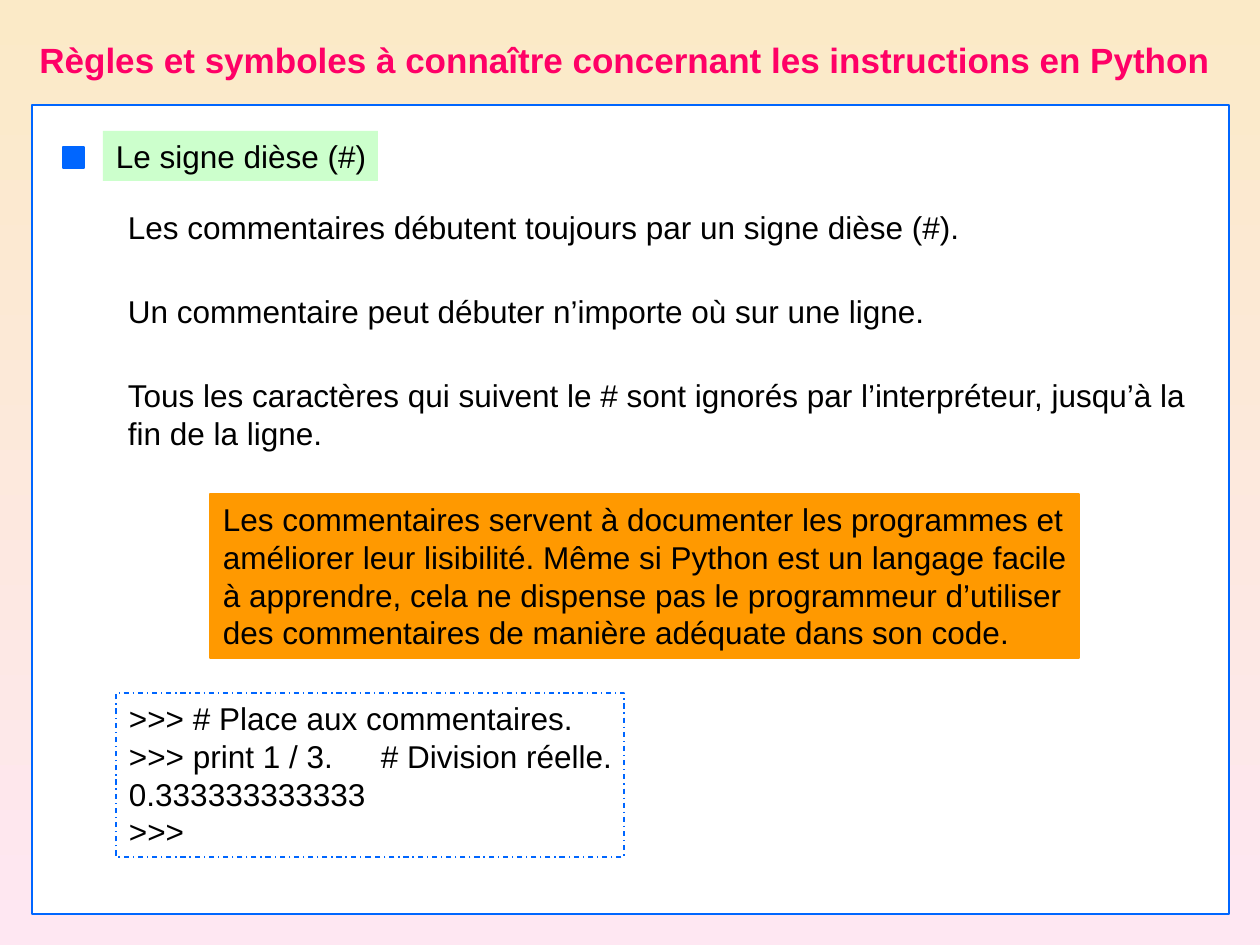
from dataclasses import dataclass
from typing import Optional

from lxml.etree import SubElement
from pptx import Presentation
from pptx.dml.color import RGBColor
from pptx.enum.dml import MSO_LINE
from pptx.enum.shapes import MSO_SHAPE
from pptx.enum.text import MSO_ANCHOR, MSO_AUTO_SIZE, PP_ALIGN
from pptx.oxml.ns import qn
from pptx.util import Emu, Pt

PIXELS_PER_INCH = 126
MARGIN_X, MARGIN_Y = 13, 6


@dataclass(frozen=True)
class Theme:
    font: str = "Arial"
    title_size: int = 20
    body_size: int = 18
    line_width: float = 0.75
    title: str = "FF0066"
    text: str = "000000"
    blue: str = "0066FF"
    white: str = "FFFFFF"
    green: str = "CCFFCC"
    orange: str = "FF9900"
    background_top: str = "FBEAC7"
    background_bottom: str = "FEE7F2"


@dataclass(frozen=True)
class Box:
    left: int
    top: int
    width: int
    height: int
    text: str = ""
    fill: Optional[str] = None
    line: Optional[str] = None
    dash: Optional[MSO_LINE] = None
    tab: Optional[int] = None


THEME = Theme()


def px(value: int) -> Emu:
    return Emu(round(value * 914400 / PIXELS_PER_INCH))


def color(value: str) -> RGBColor:
    return RGBColor.from_string(value)


def set_frame(text_frame, anchor: MSO_ANCHOR, margin_right: int) -> None:
    text_frame.word_wrap = True
    text_frame.auto_size = MSO_AUTO_SIZE.NONE
    text_frame.vertical_anchor = anchor
    text_frame.margin_left, text_frame.margin_right = px(MARGIN_X), px(margin_right)
    text_frame.margin_top = text_frame.margin_bottom = px(MARGIN_Y)


def place(shape, left: int, top: int, width: int, height: int) -> None:
    shape.left, shape.top = px(left), px(top)
    shape.width, shape.height = px(width), px(height)


def add_tab(paragraph, position: int) -> None:
    properties = paragraph._p.get_or_add_pPr()
    tab_list = SubElement(properties, qn("a:tabLst"))
    SubElement(tab_list, qn("a:tab"), pos=str(px(position)), algn="l")


def write_text(text_frame, box: Box) -> None:
    text_frame.text = box.text
    # The boxes hug their text, so the right margin is left free as slack
    set_frame(text_frame, MSO_ANCHOR.TOP, margin_right=0)
    for paragraph in text_frame.paragraphs:
        if box.tab:
            add_tab(paragraph, box.tab)
        paragraph.alignment = PP_ALIGN.LEFT
        for run in paragraph.runs:
            run.font.name = THEME.font
            run.font.size = Pt(THEME.body_size)
            run.font.color.rgb = color(THEME.text)


def draw_box(slide, box: Box) -> None:
    bounds = [px(value) for value in (box.left, box.top, box.width, box.height)]
    if box.fill or box.line:
        shape = slide.shapes.add_shape(MSO_SHAPE.RECTANGLE, *bounds)
        shape.shadow.inherit = False
        if box.fill:
            shape.fill.solid()
            shape.fill.fore_color.rgb = color(box.fill)
        else:
            shape.fill.background()
        if box.line:
            shape.line.color.rgb = color(box.line)
            shape.line.width = Pt(THEME.line_width)
            if box.dash:
                shape.line.dash_style = box.dash
        else:
            shape.line.fill.background()
    else:
        shape = slide.shapes.add_textbox(*bounds)
    if box.text:
        write_text(shape.text_frame, box)


def draw_background(slide) -> None:
    fill = slide.background.fill
    fill.gradient()
    fill.gradient_angle = 270
    colors = (THEME.background_top, THEME.background_bottom)
    for position, (stop, value) in enumerate(zip(fill.gradient_stops, colors)):
        stop.position = position
        stop.color.rgb = color(value)


def draw_title(slide, text: str) -> None:
    title = slide.shapes.title
    place(title, 11, 31, 1228, 57)
    text_frame = title.text_frame
    text_frame.text = text
    set_frame(text_frame, MSO_ANCHOR.MIDDLE, margin_right=MARGIN_X)
    paragraph = text_frame.paragraphs[0]
    paragraph.alignment = PP_ALIGN.CENTER
    font = paragraph.runs[0].font
    font.name, font.size, font.bold = THEME.font, Pt(THEME.title_size), True
    font.color.rgb = color(THEME.title)


BOXES = [
    # White panel
    Box(32, 105, 1197, 809, fill=THEME.white, line=THEME.blue),
    # Heading with its square marker
    Box(63, 147, 21, 21, fill=THEME.blue, line=THEME.blue),
    Box(103, 131, 275, 50, "Le signe dièse (#)", fill=THEME.green),
    # Rules about comments
    Box(115, 202, 857, 50,
        "Les commentaires débutent toujours par un signe dièse (#)."),
    Box(115, 286, 821, 50,
        "Un commentaire peut débuter n’importe où sur une ligne."),
    Box(115, 370, 1087, 88,
        "Tous les caractères qui suivent le # sont ignorés par l’interpréteur, jusqu’à la\n"
        "fin de la ligne."),
    # Advice
    Box(210, 494, 869, 164,
        "Les commentaires servent à documenter les programmes et\n"
        "améliorer leur lisibilité. Même si Python est un langage facile\n"
        "à apprendre, cela ne dispense pas le programmeur d’utiliser\n"
        "des commentaires de manière adéquate dans son code.",
        fill=THEME.orange, line=THEME.orange),
    # Interpreter session
    Box(116, 693, 508, 164,
        ">>> # Place aux commentaires.\n"
        ">>> print 1 / 3.\t# Division réelle.\n"
        "0.333333333333\n"
        ">>>",
        line=THEME.blue, dash=MSO_LINE.DASH_DOT, tab=252),
]


def main() -> None:
    presentation = Presentation()
    presentation.slide_width, presentation.slide_height = px(1260), px(945)
    slide = presentation.slides.add_slide(presentation.slide_layouts[5])
    draw_background(slide)
    draw_title(slide, "Règles et symboles à connaître concernant les instructions en Python")
    for box in BOXES:
        draw_box(slide, box)
    presentation.save("out.pptx")


if __name__ == "__main__":
    main()
